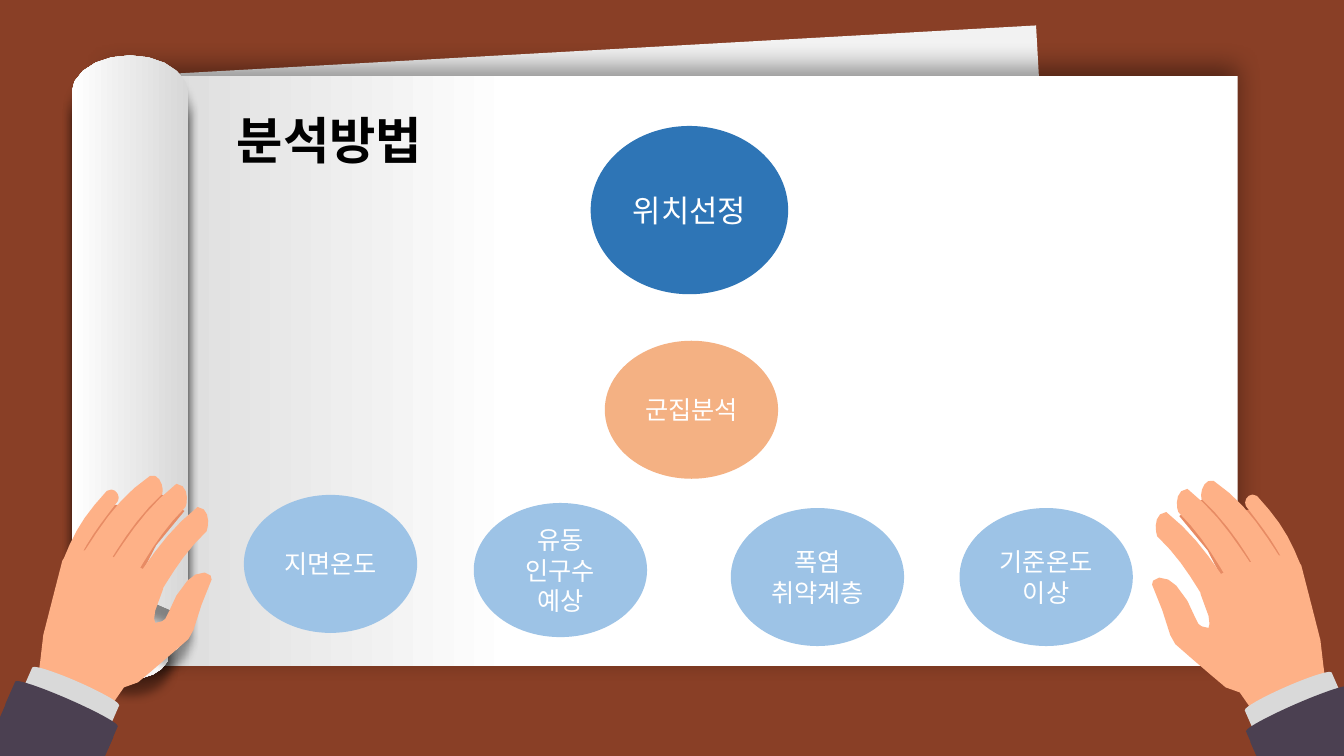
import lxml.etree
import pptx
import pptx.dml.color
import pptx.enum.shapes
import pptx.enum.text
import pptx.oxml.ns
import pptx.util

FONT = "Noto Sans CJK KR"
GRID = 0.72  # points per unit of the outlines below
SKIN, CREASE, CUFF, SLEEVE = "FEB187", "E78B64", "D9D9D9", "4B4051"
WHITE, SHADE = "FFFFFF", "D7D7D7"
KINDS = pptx.enum.shapes.MSO_SHAPE

# Outlines: a start point, then (x, y) for a line or six numbers for a cubic curve.
KNUCKLES = [
    (1277, 551), (1245, 506), (1230, 506), (1207, 501), (1195, 494), (1187, 499),
    (1170, 512), (1198, 546), (1213, 575), (1246, 577), (1271, 570), (1276, 558)]
FINGERS = [
    [(1178, 485), (1207, 508, 1224, 534, 1242, 561), (1218, 575),
     (1204, 552, 1192, 531, 1169, 508), (1167, 504, 1165, 486, 1178, 485)],
    [(1204, 477), (1233, 497, 1248, 519, 1270, 553), (1246, 565),
     (1232, 542, 1216, 517, 1192, 495), (1190, 490, 1194, 474, 1204, 477)],
    [(1157, 508), (1186, 531, 1203, 557, 1221, 584), (1197, 598),
     (1183, 575, 1171, 554, 1148, 532), (1146, 527, 1144, 509, 1157, 508)],
    [(1247, 492), (1270, 517, 1279, 532, 1291, 562), (1274, 558),
     (1261, 534, 1255, 527, 1236, 502), (1233, 497, 1239, 487, 1247, 492)]]
THUMB = [
    (1203, 671), (1182, 653), (1166, 639), (1161, 630), (1153, 605), (1143, 580),
    (1144, 576), (1150, 573), (1159, 575), (1167, 581), (1178, 596), (1185, 611),
    (1189, 619), (1210, 635)]
PALM = [
    (1203, 671), (1216, 682), (1230, 687), (1239, 700), (1243, 707), (1259, 706),
    (1279, 698), (1300, 687), (1315, 676), (1313, 661), (1310, 635), (1299, 592),
    (1291, 561), (1283, 551), (1270, 551), (1254, 551), (1240, 558), (1216, 567),
    (1205, 573), (1191, 589), (1199, 611), (1200, 619), (1199, 623), (1190, 621),
    (1181, 627), (1192, 654)]
ROLL = [
    (0, 0), (32, 0, 58, 17, 58, 38), (58, 570), (55, 564), (46, 550, 24, 540, 0, 540),
    (-24, 540, -46, 550, -55, 564), (-58, 570), (-58, 38), (-58, 17, -32, 0, 0, 0)]
ROLL_HEIGHT = 570
ARM = [  # kind, left, top, width, height, rotation, colour
    (KINDS.FLOWCHART_STORED_DATA, 912.2, 466.6, 21.6, 67.7, 66.4, CUFF),
    (KINDS.FLOWCHART_STORED_DATA, 918.7, 473, 21.6, 79.9, 66.4, SLEEVE),
    (KINDS.RECTANGLE, 899.3, 511.9, 79.9, 47.5, 336.2, SLEEVE)]
MIRROR_SUM, MIRROR_RISE = 1353, 5  # the left hand mirrors the right one, slightly higher

CIRCLES = [  # text, left, top, width, height, colour, text size
    ("유동\n인구수\n예상", 338.4, 359.3, 123.8, 95.8, "9DC3E6", 18),
    ("폭염\n취약계층", 522, 362.9, 123.8, 98.6, "9DC3E6", 18),
    ("기준온도\n이상", 685.4, 362.9, 123.8, 98.6, "9DC3E6", 18),
    ("지면온도", 174.2, 353.5, 123.8, 98.6, "9DC3E6", 18),
    ("군집분석", 432, 243.4, 123.8, 98.6, "F4B183", 18),
    ("위치선정", 421.9, 90, 141.1, 120.2, "2E75B6", 22)]


def rgb(code):
    return pptx.dml.color.RGBColor.from_string(code)


def paint(shape, colour):
    shape.shadow.inherit = False
    shape.line.fill.background()
    shape.fill.solid()
    shape.fill.fore_color.rgb = rgb(colour)


def shade(shape, stops, angle):
    shape.fill.gradient()
    shape.fill.gradient_angle = angle
    for stop, (position, colour) in zip(shape.fill.gradient_stops, stops):
        stop.position = position
        stop.color.rgb = rgb(colour)


def cast_shadow(shape, blur, distance, direction):
    qn = pptx.oxml.ns.qn
    effects = shape._element.spPr.find(qn("a:effectLst"))
    outer = lxml.etree.SubElement(
        effects, qn("a:outerShdw"), blurRad=str(pptx.util.Pt(blur)),
        dist=str(pptx.util.Pt(distance)), dir=str(direction * 60000), rotWithShape="0")
    black = lxml.etree.SubElement(outer, qn("a:srgbClr"), val="000000")
    lxml.etree.SubElement(black, qn("a:alpha"), val="40000")


def add_block(slide, kind, left, top, width, height, colour, rotation=0):
    box = [pptx.util.Pt(length) for length in (left, top, width, height)]
    block = slide.shapes.add_shape(kind, *box)
    block.rotation = rotation
    paint(block, colour)
    return block


def flatten(outline, steps=5):
    """Turn the curves of an outline into short lines."""
    points = [outline[0]]
    for segment in outline[1:]:
        if len(segment) == 2:
            points.append(segment)
            continue
        nodes = [points[-1], segment[:2], segment[2:4], segment[4:]]
        for step in range(1, steps + 1):
            t = step / steps
            weights = ((1 - t) ** 3, 3 * t * (1 - t) ** 2, 3 * t * t * (1 - t), t ** 3)
            points.append(tuple(sum(w * node[axis] for w, node in zip(weights, nodes))
                                for axis in (0, 1)))
    return points


def add_outline(slide, outline, place, colour):
    """Draw an outline after place(x, y) has moved each of its points."""
    points = [tuple(pptx.util.Pt(GRID * value) for value in place(x, y))
              for x, y in flatten(outline)]
    builder = slide.shapes.build_freeform(*points[0], scale=1.0)
    builder.add_line_segments(points[1:], close=True)
    shape = builder.convert_to_shape()
    paint(shape, colour)
    return shape


def add_hand(slide, mirrored):
    def place(x, y):
        return (MIRROR_SUM - x, y - MIRROR_RISE) if mirrored else (x, y)

    add_outline(slide, KNUCKLES, place, CREASE)
    for part in (*FINGERS, THUMB, PALM):
        add_outline(slide, part, place, SKIN)
    for kind, left, top, width, height, rotation, colour in ARM:
        if mirrored:
            left = GRID * MIRROR_SUM - left - width
            top -= GRID * MIRROR_RISE
            rotation = 360 - rotation
        piece = add_block(slide, kind, left, top, width, height, colour, rotation)
        if mirrored:
            piece._element.spPr.xfrm.set("flipH", "1")


def add_roll(slide, top, scale, inverted):
    def place(x, y):
        return 129 + scale * x, top + scale * (ROLL_HEIGHT - y if inverted else y)

    roll = add_outline(slide, ROLL, place, WHITE)
    shade(roll, [(0, SHADE), (1, WHITE)], 0 if inverted else 180)
    cast_shadow(roll, 7, 11, 90)


def write(frame, text, align, colour, **font_values):
    frame.word_wrap = True
    frame.text = text
    for paragraph in frame.paragraphs:
        paragraph.alignment = align
        for run in paragraph.runs:
            for name, value in {"name": FONT, **font_values}.items():
                setattr(run.font, name, value)
            run.font.color.rgb = rgb(colour)
            lxml.etree.SubElement(run._r.get_or_add_rPr(), pptx.oxml.ns.qn("a:ea"),
                                  typeface=FONT)


def add_circle(slide, text, left, top, width, height, colour, size):
    circle = add_block(slide, KINDS.OVAL, left, top, width, height, colour)
    circle.text_frame.vertical_anchor = pptx.enum.text.MSO_ANCHOR.MIDDLE
    write(circle.text_frame, text, pptx.enum.text.PP_ALIGN.CENTER, WHITE,
          size=pptx.util.Pt(size))


def add_title(slide, text):
    box = [pptx.util.Pt(length) for length in (162, 74.2, 270, 51.1)]
    title = slide.shapes.add_textbox(*box)
    write(title.text_frame, text, pptx.enum.text.PP_ALIGN.LEFT, "000000",
          size=pptx.util.Pt(36), bold=True)


def main():
    deck = pptx.Presentation()
    deck.slide_width, deck.slide_height = pptx.util.Pt(960), pptx.util.Pt(540)
    slide = deck.slides.add_slide(deck.slide_layouts[6])
    slide.background.fill.solid()
    slide.background.fill.fore_color.rgb = rgb("893F26")

    add_block(slide, KINDS.RECTANGLE, 103, 36, 649.4, 421.9, "F2F2F2", 356.8)
    paper = add_block(slide, KINDS.RECTANGLE, 77, 54, 807.1, 421.9, WHITE)
    shade(paper, [(0.64, WHITE), (1, SHADE)], 180)
    cast_shadow(paper, 18, 6, 270)

    add_hand(slide, mirrored=False)
    for top, scale, inverted in ((89, 1, True), (292, 0.67, True),
                                 (269, 0.67, False), (55, 1, False)):
        add_roll(slide, top, scale, inverted)
    add_hand(slide, mirrored=True)

    add_title(slide, "분석방법")
    for circle in CIRCLES:
        add_circle(slide, *circle)
    deck.save("out.pptx")


if __name__ == "__main__":
    main()
